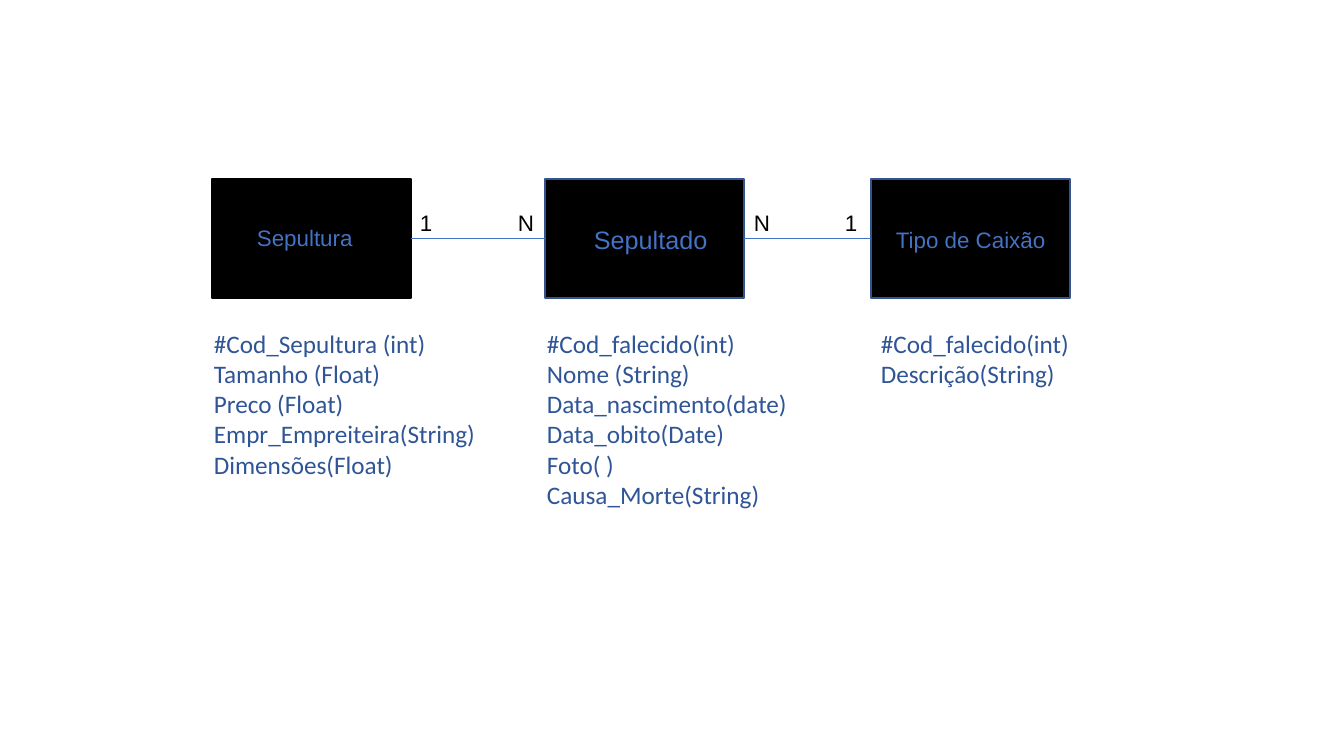
"""Build a slide with an entity diagram of graves, the buried and coffin types."""
from lxml import etree
from pptx import Presentation
from pptx import util as u
from pptx.dml.color import RGBColor
from pptx.enum import shapes, text
from pptx.oxml.ns import qn

COLORS = {"black": "000000", "edge": "325491", "blue": "4472C4", "navy": "2F5597"}
SCALE = 914400 / 100.8
PAGE_W, PAGE_H = 1344, 756
BOX_TOP, BOX_W, BOX_H = 179, 199, 119
LABEL_H, LABEL_W, LABEL_TOP = 37, 24, 204
FIELDS_TOP, LINE_H, PADDING = 323, 30, 10

ENTITIES = [
    {"left": 212, "edge": "black",
     "name": ("Sepultura", 247, 219, 119, 16),
     "fields_at": (204, 285),
     "fields": ["#Cod_Sepultura (int)", "Tamanho (Float)", "Preco (Float)",
                "Empr_Empreiteira(String)", "Dimensões(Float)"]},
    {"left": 545, "edge": "edge",
     "name": ("Sepultado", 584, 219, 136, 18),
     "fields_at": (537, 285),
     "fields": ["#Cod_falecido(int)", "Nome (String)", "Data_nascimento(date)",
                "Data_obito(Date)", "Foto( )", "Causa_Morte(String)"]},
    {"left": 871, "edge": "edge",
     "name": ("Tipo de Caixão", 886, 221, 175, 16),
     "fields_at": (871, 242),
     "fields": ["#Cod_falecido(int)", "Descrição(String)"]},
]
CARDINALITIES = [("1", 410), ("N", 508), ("N", 744), ("1", 835)]


def px(length):
    return u.Emu(round(length * SCALE))


def color(name):
    return RGBColor.from_string(COLORS[name])


def add_box(page, entity):
    box = page.shapes.add_shape(shapes.MSO_SHAPE.RECTANGLE, px(entity["left"]),
                                px(BOX_TOP), px(BOX_W), px(BOX_H))
    box.shadow.inherit = False
    box.fill.solid()
    box.fill.fore_color.rgb = color("black")
    box.line.color.rgb = color(entity["edge"])
    box.line.width = u.Pt(1)
    return box


def add_relation(page, start, end):
    relation = page.shapes.add_connector(shapes.MSO_CONNECTOR.STRAIGHT, 0, 0, 0, 0)
    relation.begin_connect(start, 3)
    relation.end_connect(end, 1)
    relation.line.color.rgb = color("blue")
    relation.line.width = u.Pt(0.5)
    etree.SubElement(relation._element.spPr, qn("a:effectLst"))


def add_text(page, lines, left, top, width, height, size, font, tint):
    box = page.shapes.add_textbox(px(left), px(top), px(width), px(height))
    frame = box.text_frame
    frame.word_wrap = True
    frame.auto_size = text.MSO_AUTO_SIZE.SHAPE_TO_FIT_TEXT
    frame.text = "\n".join(lines)
    for para in frame.paragraphs:
        para.font.size = u.Pt(size)
        para.font.name = font
        para.font.color.rgb = color(tint)


def main():
    deck = Presentation()
    deck.slide_width, deck.slide_height = px(PAGE_W), px(PAGE_H)
    page = deck.slides.add_slide(deck.slide_layouts[6])

    boxes = [add_box(page, entity) for entity in ENTITIES]
    for start, end in zip(boxes, boxes[1:]):
        add_relation(page, start, end)

    for entity in ENTITIES:
        name, left, top, width, size = entity["name"]
        add_text(page, [name], left, top, width, LABEL_H, size, "Arial", "blue")
    for mark, left in CARDINALITIES:
        add_text(page, [mark], left, LABEL_TOP, LABEL_W, LABEL_H, 16, "Arial", "black")
    for entity in ENTITIES:
        left, width = entity["fields_at"]
        height = LINE_H * len(entity["fields"]) + PADDING
        add_text(page, entity["fields"], left, FIELDS_TOP, width, height,
                 18, "Calibri", "navy")

    deck.save("out.pptx")


if __name__ == "__main__":
    main()
